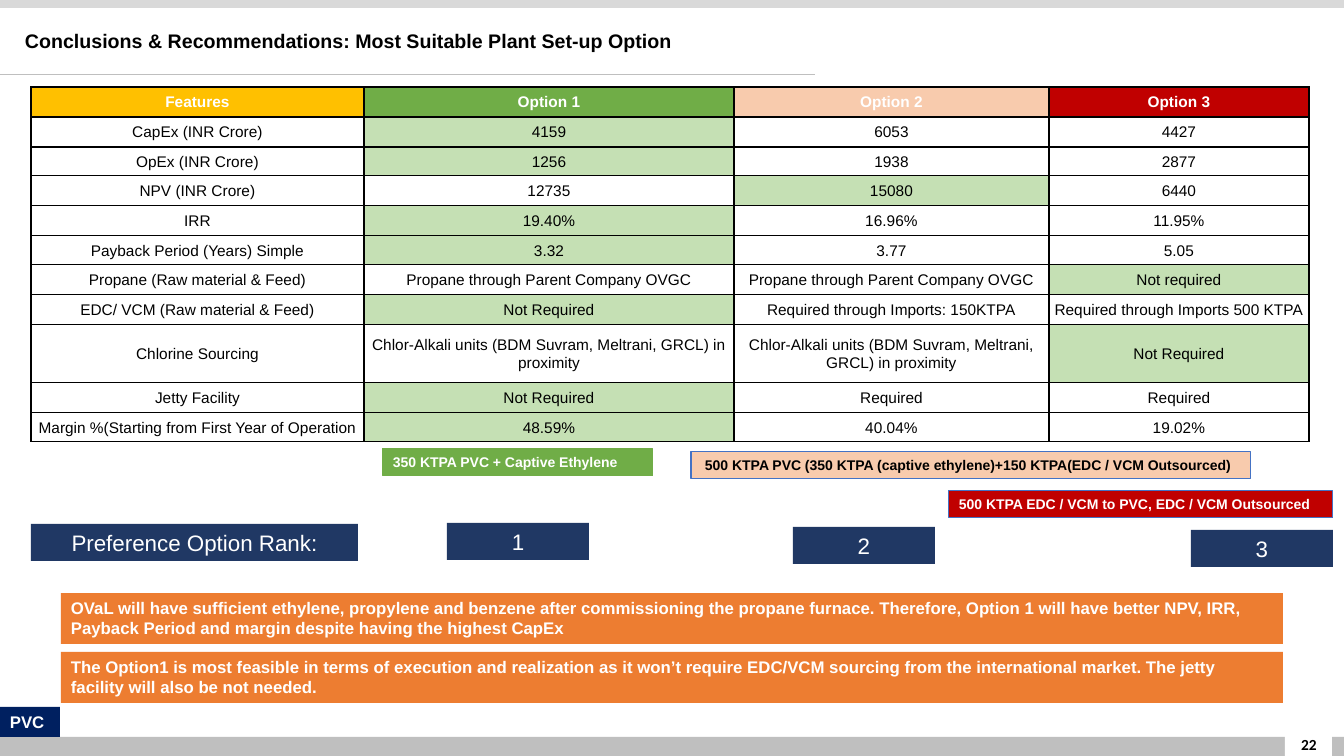
"""Build the plant set-up conclusions slide."""
import dataclasses

import pptx
import pptx.dml.color
import pptx.enum.shapes
import pptx.enum.text
import pptx.oxml
import pptx.oxml.ns
import pptx.util

ALIGN = pptx.enum.text.PP_ALIGN
ANCHOR = pptx.enum.text.MSO_ANCHOR


@dataclasses.dataclass(frozen=True)
class Theme:
    """Colours, fonts and type sizes of the slide."""
    font: str = "Arial"
    number_font: str = "Calibri"
    black: str = "000000"
    white: str = "FFFFFF"
    grey: str = "BFBFBF"
    light_grey: str = "D9D9D9"
    gold: str = "FFC000"
    green: str = "70AD47"
    best: str = "C5E0B4"
    peach: str = "F8CBAD"
    red: str = "C00000"
    blue: str = "4472C4"
    navy: str = "203864"
    dark_navy: str = "002060"
    orange: str = "ED7D31"
    title: int = 14
    rank: int = 16
    note: int = 12
    cell: int = 11
    label: int = 10


T = Theme()

HEADERS = [("Features", T.gold), ("Option 1", T.green), ("Option 2", T.peach), ("Option 3", T.red)]
SUPPLIER = "Propane through Parent Company OVGC"
CHLORINE = "Chlor-Alkali units (BDM Suvram, Meltrani, GRCL) in proximity"
FEATURES = [
    (1, "CapEx (INR Crore)", "4159", "6053", "4427"),
    (1, "OpEx (INR Crore)", "1256", "1938", "2877"),
    (2, "NPV (INR Crore)", "12735", "15080", "6440"),
    (1, "IRR", "19.40%", "16.96%", "11.95%"),
    (1, "Payback Period (Years) Simple", "3.32", "3.77", "5.05"),
    (3, "Propane (Raw material & Feed)", SUPPLIER, SUPPLIER, "Not required"),
    (1, "EDC/ VCM (Raw material & Feed)", "Not Required",
     "Required through Imports: 150KTPA", "Required through Imports 500 KTPA"),
    (3, "Chlorine Sourcing", CHLORINE, CHLORINE, "Not Required"),
    (1, "Jetty Facility", "Not Required", "Required", "Required"),
    (1, "Margin %(Starting from First Year of Operation", "48.59%", "40.04%", "19.02%"),
]
COL_WIDTHS = (333, 370, 315, 260)
ROW_HEIGHTS = (30, 30, 29, 30, 30, 29, 30, 30, 58, 30, 29)

LABELS = [
    ((383, 449, 270, 27), "350 KTPA PVC + Captive Ethylene", T.green, T.green, T.white, 10),
    ((691, 452, 560, 27), "500 KTPA PVC (350 KTPA (captive ethylene)+150 KTPA(EDC / VCM Outsourced)",
     T.peach, T.blue, T.black, 14),
    ((949, 491, 384, 27), "500 KTPA EDC / VCM to PVC, EDC / VCM Outsourced", T.red, T.blue, T.white, 10),
]
RANKS = [
    ((31, 524, 327, 37), "Preference Option Rank:"),
    ((447, 523, 142, 37), "1"),
    ((793, 527, 142, 37), "2"),
    ((1191, 530, 142, 37), "3"),
]
CONCLUSIONS = [
    "OVaL will have sufficient ethylene, propylene and benzene after commissioning the propane "
    "furnace. Therefore, Option 1 will have better NPV, IRR, Payback Period and margin despite "
    "having the highest CapEx",
    "The Option1 is most feasible in terms of execution and realization as it won’t require "
    "EDC/VCM sourcing from the international market. The jetty facility will also be not needed.",
]


def px(n):
    """Turn slide pixels into EMU."""
    return pptx.util.Emu(round(n * 914400 / 100.8))


def rgb(value):
    """Return a colour from its hex value."""
    return pptx.dml.color.RGBColor.from_string(value)


def write(tf, text, size, color, bold=True, align=ALIGN.LEFT, font=T.font):
    """Write one formatted paragraph into a text frame."""
    p = tf.paragraphs[0]
    p.alignment = align
    r = p.add_run()
    r.text = text
    for key, value in {"name": font, "size": pptx.util.Pt(size), "bold": bold}.items():
        setattr(r.font, key, value)
    r.font.color.rgb = rgb(color)
    return p


def add_box(s, box, fill, line=None):
    """Add a filled rectangle with top-anchored wrapping text."""
    sp = s.shapes.add_shape(pptx.enum.shapes.MSO_SHAPE.RECTANGLE, *map(px, box))
    sp.shadow.inherit = False
    sp.fill.solid()
    sp.fill.fore_color.rgb = rgb(fill)
    if line:
        sp.line.color.rgb = rgb(line)
        sp.line.width = pptx.util.Pt(0.75)
    else:
        sp.line.fill.background()
    sp.text_frame.word_wrap = True
    sp.text_frame.vertical_anchor = ANCHOR.TOP
    return sp


def add_text(s, box, text, size, **fmt):
    """Add a wrapping text box centred vertically."""
    tf = s.shapes.add_textbox(*map(px, box)).text_frame
    tf.word_wrap = True
    tf.vertical_anchor = ANCHOR.MIDDLE
    return write(tf, text, size, T.black, **fmt)


def add_rule(s, x1, y1, x2, y2):
    """Add the thin grey line under the title."""
    sp = s.shapes.add_connector(pptx.enum.shapes.MSO_CONNECTOR.STRAIGHT, *map(px, (x1, y1, x2, y2)))
    sp.line.color.rgb = rgb(T.grey)
    sp.line.width = pptx.util.Pt(0.5)
    sp._element.spPr.append(pptx.oxml.parse_xml(f'<a:effectLst {pptx.oxml.ns.nsdecls("a")}/>'))


def fill_cell(cell, text, fill, color, bold):
    """Give a table cell its borders, fill and centred text."""
    for side in "LRTB":
        cell._tc.get_or_add_tcPr().append(pptx.oxml.parse_xml(
            f'<a:ln{side} {pptx.oxml.ns.nsdecls("a")} w="12700"><a:solidFill>'
            f'<a:srgbClr val="{T.black}"/></a:solidFill></a:ln{side}>'))
    cell.fill.solid()
    cell.fill.fore_color.rgb = rgb(fill)
    margins = {"margin_left": px(1), "margin_right": px(1), "margin_top": px(1), "margin_bottom": 0}
    for key, value in {**margins, "vertical_anchor": ANCHOR.MIDDLE}.items():
        setattr(cell, key, value)
    write(cell.text_frame, text, T.cell, color, bold, ALIGN.CENTER)


def add_comparison(s, left, top):
    """Add the table comparing the options, best values in green."""
    size = (sum(COL_WIDTHS), sum(ROW_HEIGHTS))
    table = s.shapes.add_table(len(ROW_HEIGHTS), len(COL_WIDTHS), *map(px, (left, top, *size))).table
    for col, width in zip(table.columns, COL_WIDTHS):
        col.width = px(width)
    for row, height in zip(table.rows, ROW_HEIGHTS):
        row.height = px(height)
    for j, (text, fill) in enumerate(HEADERS):
        fill_cell(table.cell(0, j), text, fill, T.white, True)
    for i, (best, *values) in enumerate(FEATURES, 1):
        for j, text in enumerate(values):
            fill_cell(table.cell(i, j), text, T.best if j == best else T.white, T.black, False)


def main():
    """Draw the slide and save it."""
    prs = pptx.Presentation()
    prs.slide_width, prs.slide_height = px(1344), px(756)
    s = prs.slides.add_slide(prs.slide_layouts[6])
    add_box(s, (0, 737, 1344, 19), T.grey)
    add_box(s, (0, 0, 1344, 8), T.light_grey)
    add_box(s, (1285, 719, 47, 37), T.white)
    add_text(s, (1276, 724, 66, 40), "22", T.cell, align=ALIGN.CENTER, font=T.number_font)
    add_rule(s, 0, 74, 815, 74)
    p = add_text(s, (15, 17, 817, 50), "Conclusions & Recommendations: Most Suitable Plant Set-up Option", T.title)
    p.line_spacing = 0.9
    add_comparison(s, 31, 87)
    for box, text, fill, line, color, indent in LABELS:
        tf = add_box(s, box, fill, line).text_frame
        tf.margin_left = px(indent)
        write(tf, text, T.label, color)
    for box, text in RANKS:
        write(add_box(s, box, T.navy).text_frame, text, T.rank, T.white, False, ALIGN.CENTER)
    for i, text in enumerate(CONCLUSIONS):
        write(add_box(s, (61, 593 + 59 * i, 1222, 51), T.orange).text_frame, text, T.note, T.white)
    write(add_box(s, (0, 707, 60, 30), T.dark_navy).text_frame, "PVC", T.note, T.white)
    prs.save("out.pptx")


if __name__ == "__main__":
    main()
